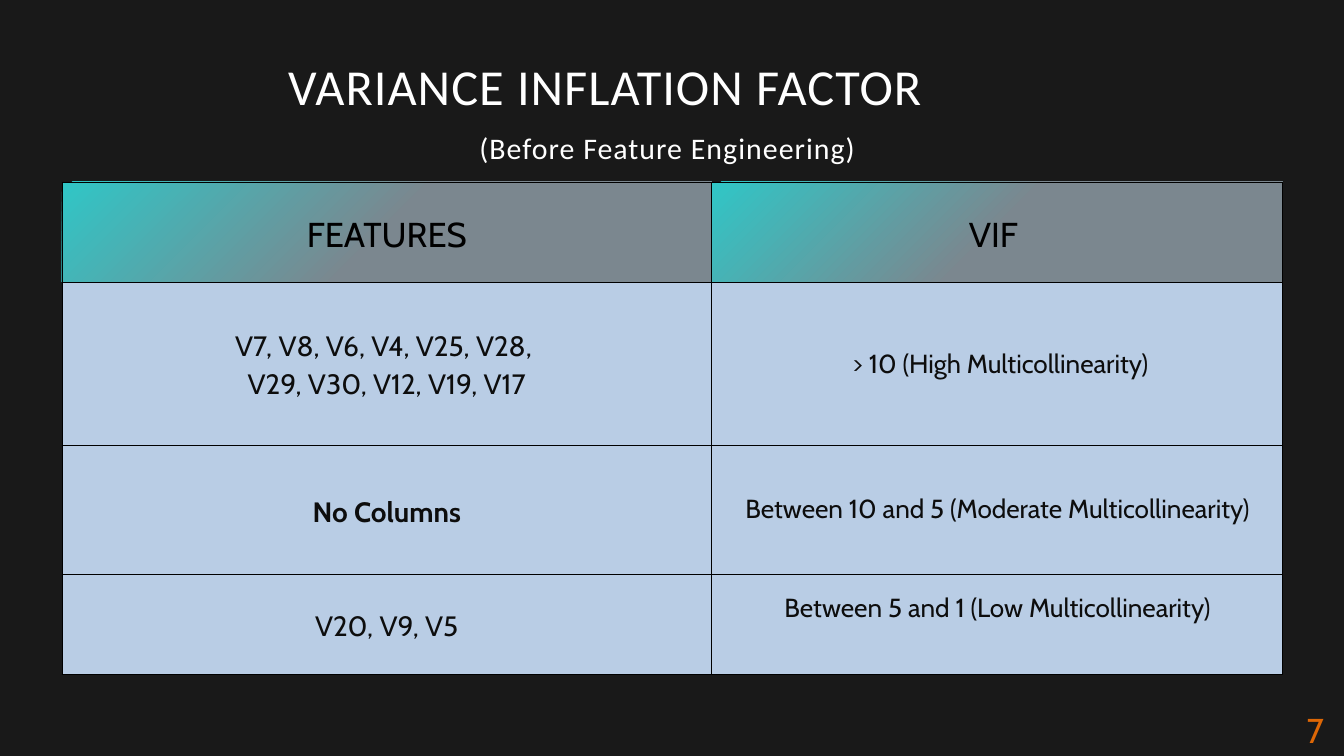
from dataclasses import dataclass

from lxml import etree
from pptx import Presentation
from pptx.dml.color import RGBColor
from pptx.enum.text import MSO_ANCHOR, PP_ALIGN
from pptx.oxml.ns import qn
from pptx.util import Cm, Pt

CENTER = PP_ALIGN.CENTER
MIDDLE = MSO_ANCHOR.MIDDLE


@dataclass(frozen=True)
class Theme:
    back: str = "191919"
    white: str = "FFFFFF"
    black: str = "000000"
    ink: str = "0D0D0D"
    page: str = "DD6706"
    teal: str = "30C6C6"
    grey: str = "7B878F"
    blue: str = "B9CDE5"
    body: str = "Cabin"
    head: str = "Calibri"
    title_size: float = 54
    sub_size: float = 32
    page_size: float = 36.9
    top_size: float = 37
    left_size: float = 30
    right_size: float = 28


@dataclass(frozen=True)
class Style:
    font: str
    size: float
    color: str
    line: float
    bold: bool = False
    track: int = 0


@dataclass(frozen=True)
class Label:
    text: str
    box: tuple[float, float, float, float]
    style: Style


@dataclass(frozen=True)
class Entry:
    text: str
    style: Style
    header: bool = False
    foot: float = 0.18


THEME = Theme()


def rgb(code: str) -> RGBColor:
    return RGBColor.from_string(code)


def format_text(frame, text: str, style: Style) -> None:
    frame.text = text
    frame.word_wrap = True
    for para in frame.paragraphs:
        para.alignment = CENTER
        para.line_spacing = Pt(style.line)
        for run in para.runs:
            font = run.font
            font.name, font.size, font.bold = style.font, Pt(style.size), style.bold
            font.color.rgb = rgb(style.color)
            if style.track:
                run._r.get_or_add_rPr().set("spc", str(style.track))


def draw_label(slide, label: Label) -> None:
    frame = slide.shapes.add_textbox(*map(Cm, label.box)).text_frame
    frame.margin_left = frame.margin_right = 0
    frame.margin_top = frame.margin_bottom = 0
    format_text(frame, label.text, label.style)


def draw_border(cell, color: str) -> None:
    props = cell._tc.get_or_add_tcPr()
    for side in ("a:lnL", "a:lnR", "a:lnT", "a:lnB"):
        line = etree.SubElement(props, qn(side), w=str(Pt(1)))
        fill = etree.SubElement(line, qn("a:solidFill"))
        etree.SubElement(fill, qn("a:srgbClr"), val=color)


def draw_cell(cell, entry: Entry) -> None:
    format_text(cell.text_frame, entry.text, entry.style)
    cell.vertical_anchor = MIDDLE
    cell.margin_left = cell.margin_right = cell.margin_top = Cm(0.18)
    cell.margin_bottom = Cm(entry.foot)
    draw_border(cell, THEME.black)
    if entry.header:
        cell.fill.gradient()
        cell.fill.gradient_angle = 315
        stops = zip(cell.fill.gradient_stops, (0, 0.5), (THEME.teal, THEME.grey))
        for stop, place, color in stops:
            stop.position = place
            stop.color.rgb = rgb(color)
    else:
        cell.fill.solid()
        cell.fill.fore_color.rgb = rgb(THEME.blue)


def draw_table(slide, rows, widths, heights) -> None:
    table = slide.shapes.add_table(
        len(rows), len(widths), Cm(2.34), Cm(6.88), Cm(sum(widths)), Cm(sum(heights))
    ).table
    table.first_row = table.horz_banding = False
    for column, width in zip(table.columns, widths):
        column.width = Cm(width)
    for row, height, entries in zip(table.rows, heights, rows):
        row.height = Cm(height)
        for cell, entry in zip(row.cells, entries):
            draw_cell(cell, entry)


def left(line: float, bold: bool = False) -> Style:
    return Style(THEME.body, THEME.left_size, THEME.ink, line, bold)


def right(line: float) -> Style:
    return Style(THEME.body, THEME.right_size, THEME.ink, line)


def main() -> None:
    deck = Presentation()
    deck.slide_width, deck.slide_height = Cm(50.8), Cm(28.58)
    slide = deck.slides.add_slide(deck.slide_layouts[6])
    slide.background.fill.solid()
    slide.background.fill.fore_color.rgb = rgb(THEME.back)

    # Table of features by inflation factor
    top = Style(THEME.body, THEME.top_size, THEME.black, 51.8)
    rows = [
        (Entry("FEATURES", top, True), Entry("VIF ", top, True)),
        (
            Entry("V7, V8, V6, V4, V25, V28, \nV29, V30, V12, V19, V17", left(40.6)),
            Entry(" > 10 (High Multicollinearity)", right(35)),
        ),
        (
            Entry("No Columns", left(42, True)),
            Entry("Between 10 and 5 (Moderate Multicollinearity)", right(32.2)),
        ),
        (
            Entry("V20, V9, V5", left(42)),
            Entry("Between 5 and 1 (Low Multicollinearity)", right(32.2), foot=1.32),
        ),
    ]
    draw_table(slide, rows, (24.56, 21.59), (3.78, 6.17, 4.88, 3.78))

    # Headings and page number
    title = Style(THEME.head, THEME.title_size, THEME.white, 53.8, track=110)
    sub = Style(THEME.head, THEME.sub_size, THEME.white, 53.8, track=110)
    page = Style(THEME.body, THEME.page_size, THEME.page, 51.6)
    for label in (
        Label("VARIANCE INFLATION FACTOR", (0.3, 2.46, 45.16, 1.9), title),
        Label("(Before Feature Engineering)", (0.3, 4.36, 49.86, 1.9), sub),
        Label("7", (48.97, 26.54, 1.5, 1.93), page),
    ):
        draw_label(slide, label)

    deck.save("out.pptx")


if __name__ == "__main__":
    main()
